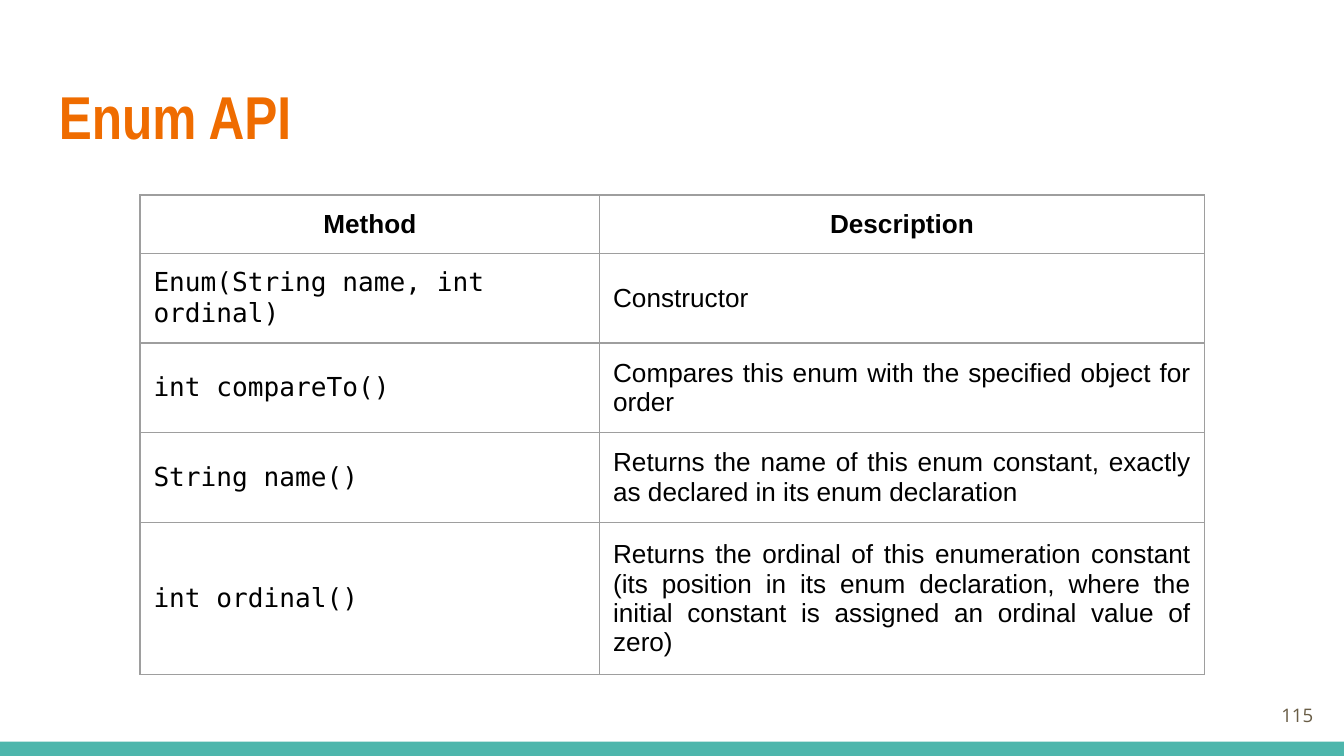
from dataclasses import dataclass

import pptx
import pptx.dml.color
import pptx.enum.shapes
import pptx.enum.text
import pptx.oxml
import pptx.oxml.ns
import pptx.util

ALIGN = pptx.enum.text.PP_ALIGN
ANCHOR = pptx.enum.text.MSO_ANCHOR
RGBColor = pptx.dml.color.RGBColor

ORANGE = RGBColor(0xEF, 0x6C, 0x00)
TEAL = RGBColor(0x4D, 0xB6, 0xAC)
BROWN = RGBColor(0x69, 0x5D, 0x46)
BLACK = RGBColor(0x00, 0x00, 0x00)
GRAY = RGBColor(0x9E, 0x9E, 0x9E)

# A 16:9 slide, on a grid of 100 columns by 100 rows
SLIDE_WIDTH = pptx.util.Inches(10)
SLIDE_HEIGHT = SLIDE_WIDTH * 9 // 16
INSET = pptx.util.Inches(0.1)


@dataclass(frozen=True)
class Area:
    column: float
    row: float
    columns: float
    rows: float

    def lengths(self) -> tuple[int, int, int, int]:
        return (across(self.column), down(self.row),
                across(self.columns), down(self.rows))


@dataclass(frozen=True)
class TextStyle:
    font: str
    size: float
    color: RGBColor
    align: ALIGN = ALIGN.LEFT
    bold: bool = False
    anchor: ANCHOR = ANCHOR.MIDDLE


@dataclass(frozen=True)
class Method:
    signature: str
    description: str


TITLE = TextStyle("Arial Narrow", 32.4, ORANGE, bold=True, anchor=ANCHOR.TOP)
PAGE_NUMBER = TextStyle("Open Sans", 10, BROWN, ALIGN.RIGHT)
HEADING = TextStyle("Arial", 14, BLACK, ALIGN.CENTER, bold=True)
CODE = TextStyle("DejaVu Sans Mono", 14, BLACK)
PROSE = TextStyle("Arial", 14, BLACK, ALIGN.JUSTIFY)

COLUMN_WIDTHS = (34.2, 45)
ROW_HEIGHT = 7.47
METHODS = (
    Method("Enum(String name, int ordinal)", "Constructor"),
    Method("int compareTo()",
           "Compares this enum with the specified object for order"),
    Method("String name()",
           "Returns the name of this enum constant, exactly as declared "
           "in its enum declaration"),
    Method("int ordinal()",
           "Returns the ordinal of this enumeration constant (its position "
           "in its enum declaration, where the initial constant is assigned "
           "an ordinal value of zero)"),
)


def across(columns: float) -> int:
    return round(SLIDE_WIDTH * columns / 100)


def down(rows: float) -> int:
    return round(SLIDE_HEIGHT * rows / 100)


def set_insets(holder, style: TextStyle) -> None:
    holder.margin_left = holder.margin_right = INSET
    holder.margin_top = holder.margin_bottom = INSET
    holder.vertical_anchor = style.anchor


def write(frame, text: str, style: TextStyle) -> None:
    para = frame.paragraphs[0]
    para.alignment = style.align
    span = para.add_run()
    span.text = text
    span.font.name = style.font
    span.font.size = pptx.util.Pt(style.size)
    span.font.bold = style.bold
    span.font.color.rgb = style.color


def add_text(page, area: Area, text: str, style: TextStyle) -> None:
    box = page.shapes.add_textbox(*area.lengths())
    box.text_frame.word_wrap = True
    set_insets(box.text_frame, style)
    write(box.text_frame, text, style)


def add_borders(cell) -> None:
    properties = cell._tc.get_or_add_tcPr()
    for side in ("lnL", "lnR", "lnT", "lnB"):
        properties.append(pptx.oxml.parse_xml(
            f'<a:{side} {pptx.oxml.ns.nsdecls("a")} w="{pptx.util.Pt(0.75)}">'
            f'<a:solidFill><a:srgbClr val="{GRAY}"/></a:solidFill>'
            f'</a:{side}>'))


def fill_cell(cell, text: str, style: TextStyle) -> None:
    set_insets(cell, style)
    add_borders(cell)
    cell.fill.background()
    write(cell.text_frame, text, style)


def add_method_table(page, area: Area) -> None:
    holder = page.shapes.add_table(
        len(METHODS) + 1, len(COLUMN_WIDTHS), *area.lengths())
    table = holder.table
    table.first_row = table.horz_banding = False
    for table_column, width in zip(table.columns, COLUMN_WIDTHS):
        table_column.width = across(width)
    for table_row in table.rows:
        table_row.height = down(ROW_HEIGHT)
    # Rows grow with their text, so the frame keeps its own size
    holder.width, holder.height = across(area.columns), down(area.rows)

    for index, heading in enumerate(("Method", "Description")):
        fill_cell(table.cell(0, index), heading, HEADING)
    for index, method in enumerate(METHODS, start=1):
        fill_cell(table.cell(index, 0), method.signature, CODE)
        fill_cell(table.cell(index, 1), method.description, PROSE)


def add_bar(page, area: Area) -> None:
    bar = page.shapes.add_shape(
        pptx.enum.shapes.MSO_SHAPE.RECTANGLE, *area.lengths())
    bar.shadow.inherit = False
    bar.fill.solid()
    bar.fill.fore_color.rgb = TEAL
    bar.line.fill.background()


def main() -> None:
    deck = pptx.Presentation()
    deck.slide_width = SLIDE_WIDTH
    deck.slide_height = SLIDE_HEIGHT
    page = deck.slides.add_slide(deck.slide_layouts[6])

    # Footer bar, title and page number
    add_bar(page, Area(0, 98.1, 100, 1.9))
    add_text(page, Area(3.4, 8.7, 93.2, 13.7), "Enum API", TITLE)
    add_text(page, Area(92.7, 90.7, 6, 7.65), "115", PAGE_NUMBER)

    # Methods with their descriptions
    add_method_table(page, Area(10.42, 25.8, 32.8, 58.3))

    deck.save("out.pptx")


if __name__ == "__main__":
    main()
